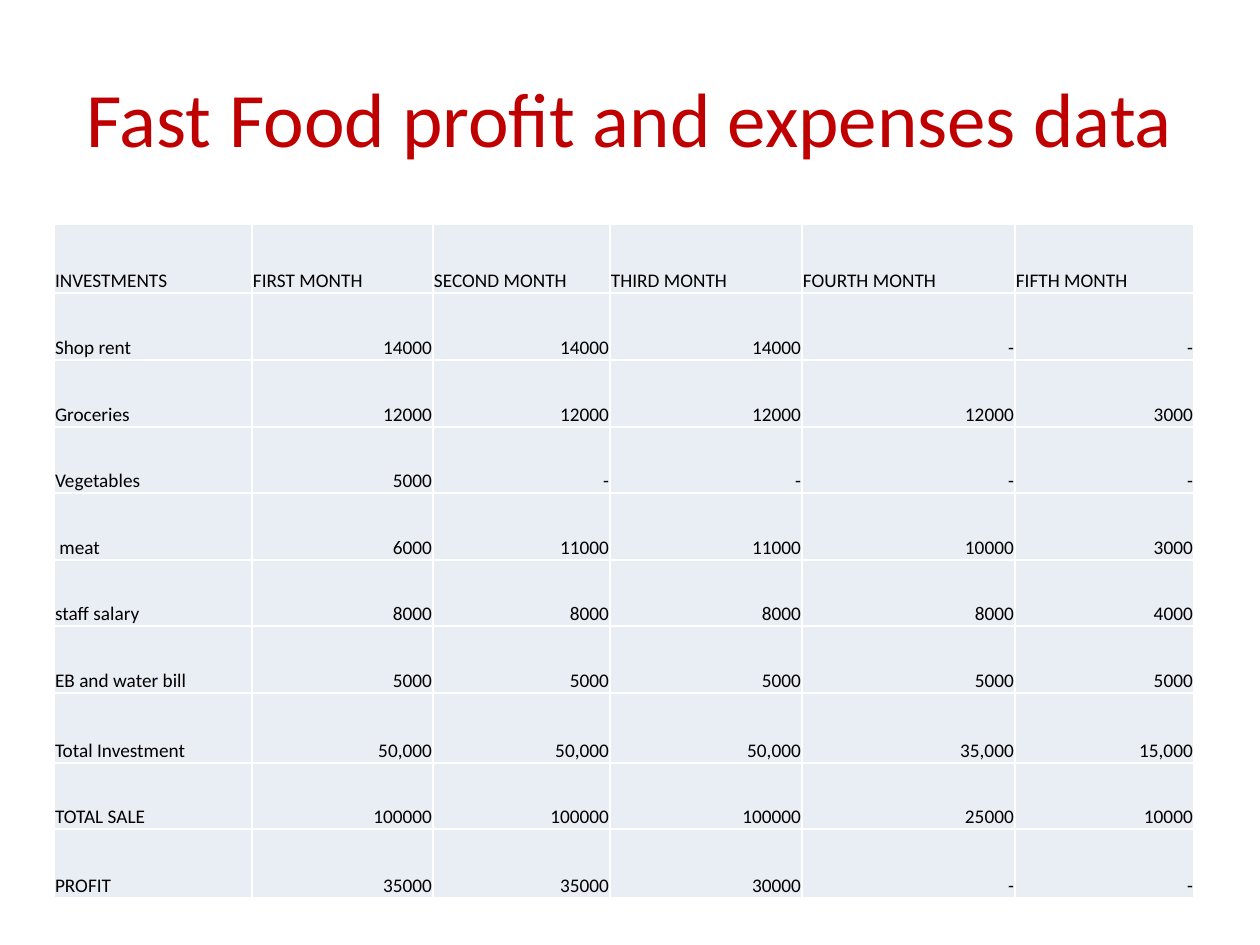
import dataclasses
import pptx
import pptx.dml.color
import pptx.enum.text
import pptx.oxml
import pptx.oxml.ns
import pptx.util

ANCHOR = pptx.enum.text.MSO_ANCHOR
ALIGN = pptx.enum.text.PP_ALIGN
SCALE = 914400 / 126


@dataclasses.dataclass(frozen=True)
class Theme:
    font: str = "Calibri"
    title_size: int = 44
    cell_size: int = 11
    title_color: str = "C00000"
    text_color: str = "000000"
    cell_fill: str = "E9EDF4"
    border_color: str = "FFFFFF"
    border_width: int = 1


THEME = Theme()

COLUMN_WIDTHS = [198, 181, 177, 192, 213, 179]
ROW_HEIGHTS = [69, 67, 67, 66, 67, 66, 67, 70, 66, 69]
MONTHLY_FIGURES = [
    ["INVESTMENTS", "FIRST MONTH", "SECOND MONTH", "THIRD MONTH", "FOURTH MONTH", "FIFTH MONTH"],
    ["Shop rent", "14000", "14000", "14000", "-", "-"],
    ["Groceries", "12000", "12000", "12000", "12000", "3000"],
    ["Vegetables", "5000", "-", "-", "-", "-"],
    [" meat", "6000", "11000", "11000", "10000", "3000"],
    ["staff salary", "8000", "8000", "8000", "8000", "4000"],
    ["EB and water bill", "5000", "5000", "5000", "5000", "5000"],
    ["Total Investment", "50,000", "50,000", "50,000", "35,000", "15,000"],
    ["TOTAL SALE", "100000", "100000", "100000", "25000", "10000"],
    ["PROFIT", "35000", "35000", "30000", "-", "-"],
]


def px(length):
    return pptx.util.Emu(round(length * SCALE))


def write(frame, text, size, color, align):
    para = frame.paragraphs[0]
    para.text = text
    para.alignment = align
    para.font.name = THEME.font
    para.font.size = pptx.util.Pt(size)
    para.font.color.rgb = pptx.dml.color.RGBColor.from_string(color)


def add_title(page, box, text):
    title = page.shapes.add_textbox(*map(px, box))
    title.text_frame.word_wrap = True
    title.text_frame.vertical_anchor = ANCHOR.MIDDLE
    write(title.text_frame, text, THEME.title_size, THEME.title_color, ALIGN.CENTER)


def add_borders(cell):
    properties = cell._tc.get_or_add_tcPr()
    width = pptx.util.Pt(THEME.border_width)
    for position, side in enumerate(("lnL", "lnR", "lnT", "lnB")):
        border = pptx.oxml.parse_xml(
            f'<a:{side} {pptx.oxml.ns.nsdecls("a")} w="{width}"><a:solidFill>'
            f'<a:srgbClr val="{THEME.border_color}"/></a:solidFill></a:{side}>'
        )
        properties.insert(position, border)


def style_cell(cell):
    cell.fill.solid()
    cell.fill.fore_color.rgb = pptx.dml.color.RGBColor.from_string(THEME.cell_fill)
    cell.vertical_anchor = ANCHOR.BOTTOM
    cell.margin_left = cell.margin_right = cell.margin_top = px(1)
    cell.margin_bottom = 0
    add_borders(cell)


def add_figures_table(page, box, rows):
    table = page.shapes.add_table(len(rows), len(rows[0]), *map(px, box)).table
    table.first_row = table.horz_banding = False
    for column, width in zip(table.columns, COLUMN_WIDTHS):
        column.width = px(width)
    for row, height in zip(table.rows, ROW_HEIGHTS):
        row.height = px(height)
    for row_index, row in enumerate(rows):
        for column_index, text in enumerate(row):
            cell = table.cell(row_index, column_index)
            style_cell(cell)
            align = ALIGN.RIGHT if row_index and column_index else ALIGN.LEFT
            write(cell.text_frame, text, THEME.cell_size, THEME.text_color, align)


def build():
    deck = pptx.Presentation()
    deck.slide_width = px(1260)
    deck.slide_height = px(945)
    page = deck.slides.add_slide(deck.slide_layouts[6])
    add_title(page, (63, 38, 1134, 157), "Fast Food profit and expenses data")
    table_box = (54, 224, sum(COLUMN_WIDTHS), sum(ROW_HEIGHTS))
    add_figures_table(page, table_box, MONTHLY_FIGURES)
    deck.save("out.pptx")


build()
